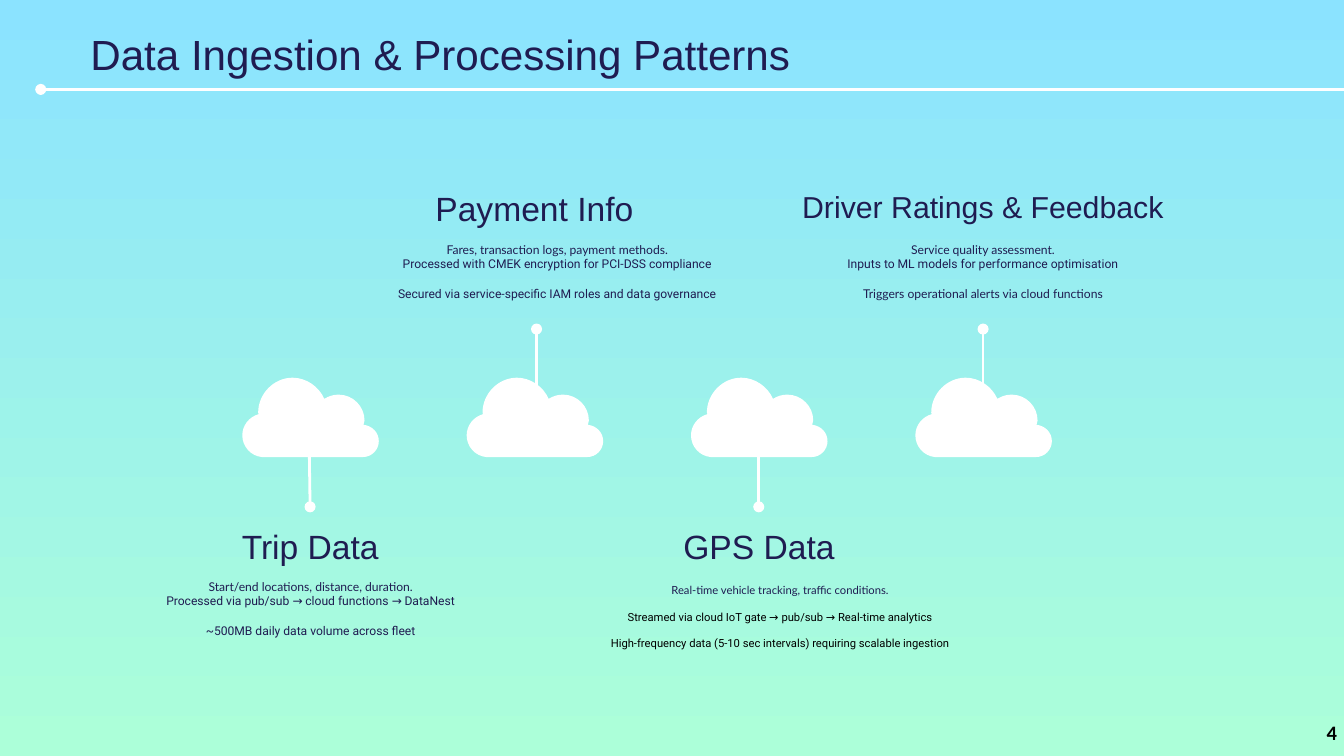
from dataclasses import dataclass

from lxml.etree import SubElement
from pptx import Presentation
from pptx.dml.color import RGBColor
from pptx.enum.shapes import MSO_CONNECTOR
from pptx.enum.text import MSO_ANCHOR, PP_ALIGN
from pptx.oxml.ns import qn
from pptx.util import Cm, Pt


@dataclass(frozen=True)
class Theme:
    sky: RGBColor = RGBColor(0x8B, 0xE3, 0xFF)
    mint: RGBColor = RGBColor(0xAC, 0xFF, 0xD9)
    navy: RGBColor = RGBColor(0x1F, 0x1C, 0x51)
    white: RGBColor = RGBColor(0xFF, 0xFF, 0xFF)
    black: RGBColor = RGBColor(0, 0, 0)
    title_size: float = 22.6
    heading_size: float = 18
    long_heading_size: float = 16.2
    body_size: float = 6.5
    small_size: float = 6
    number_size: float = 11
    line_width: float = 1.5


THEME = Theme()
CLOUD_LEFT, CLOUD_TOP, CLOUD_PITCH = 4.58, 7.14, 4.24
CLOUD_START = (0.95, 0)
# Each segment ends at its last point, in cm from the cloud's corner;
# a curve has two control points before it, a straight edge has none.
CLOUD_SEGMENTS = [
    ((0.60, 0), (0.30, 0.30), (0.30, 0.66)),
    ((0.30, 0.67), (0.30, 0.68), (0.31, 0.69)),
    ((0.13, 0.74), (0, 0.90), (0, 1.09)),
    ((0, 1.30), (0.16, 1.48), (0.37, 1.50)),
    ((2.28, 1.50),),
    ((2.45, 1.50), (2.58, 1.36), (2.58, 1.20)),
    ((2.58, 1.04), (2.46, 0.91), (2.29, 0.89)),
    ((2.30, 0.86), (2.31, 0.84), (2.31, 0.81)),
    ((2.31, 0.54), (2.09, 0.32), (1.82, 0.32)),
    ((1.72, 0.32), (1.63, 0.35), (1.55, 0.40)),
    ((1.45, 0.17), (1.21, 0), CLOUD_START),
]

# Each topic: heading, its size and box, body box, body size,
# then lines of (text, font, colour, space before in lines), and its pin.
TOPICS = [
    ("Trip Data", THEME.heading_size, (3.82, 9.69, 4.09, 1.5),
     (2.56, 10.7, 6.63, 1.8), THEME.body_size,
     [("Start/end locations, distance, duration.", "Lato", THEME.navy, 0),
      ("Processed via pub/sub → cloud functions → DataNest", "Roboto", THEME.navy, 0),
      ("~500MB daily data volume across fleet", "Roboto", THEME.navy, 1)],
     ((5.86, 9.58), (5.84, 8.18))),
    ("Payment Info", THEME.heading_size, (7.6, 3.3, 5, 1.5),
     (7.22, 4.33, 6.63, 2.16), THEME.body_size,
     [("Fares, transaction logs, payment methods.", "Lato", THEME.navy, 0),
      ("Processed with CMEK encryption for PCI-DSS compliance", "Roboto", THEME.navy, 0),
      ("Secured via service-specific IAM roles and data governance", "Roboto",
       THEME.navy, 1)],
     ((10.14, 6.22), (10.14, 7.72))),
    ("GPS Data", THEME.heading_size, (12.3, 9.69, 4.09, 1.5),
     (11.22, 10.77, 7.04, 1.8), THEME.small_size,
     [("Real-time vehicle tracking, traffic conditions.", "Lato", THEME.navy, 0),
      ("Streamed via cloud IoT gate → pub/sub → Real-time analytics", "Roboto",
       THEME.black, 1),
      ("High-frequency data (5-10 sec intervals) requiring scalable ingestion",
       "Roboto", THEME.black, 1)],
     ((14.34, 9.58), (14.34, 8.2))),
    ("Driver Ratings & Feedback", THEME.long_heading_size, (14.89, 3.3, 7.37, 1.5),
     (15.67, 4.33, 5.82, 1.8), THEME.body_size,
     [("Service quality assessment.", "Lato", THEME.navy, 0),
      ("Inputs to ML models for performance optimisation", "Roboto", THEME.navy, 0),
      ("Triggers operational alerts via cloud functions", "Lato", THEME.navy, 1)],
     ((18.58, 6.22), (18.58, 7.72))),
]


def set_all(target, values):
    for name, value in values.items():
        setattr(target, name, value)


def paint_background(page):
    fill = page.background.fill
    fill.gradient()
    fill.gradient_angle = 270
    for stop, colour in zip(fill.gradient_stops, (THEME.sky, THEME.mint)):
        stop.color.rgb = colour


def add_text(page, place, lines, size, align=PP_ALIGN.CENTER, bold=False,
             inset=0.25, **frame_format):
    """Add a box with one paragraph for each (text, font, colour, gap in lines)."""
    box = page.shapes.add_textbox(*map(Cm, place))
    frame = box.text_frame
    margins = dict.fromkeys(
        ("margin_left", "margin_top", "margin_right", "margin_bottom"), Cm(inset))
    set_all(frame, {"word_wrap": True, **margins, **frame_format})
    for index, (text, font, colour, gap) in enumerate(lines):
        para = frame.paragraphs[0] if index == 0 else frame.add_paragraph()
        para.alignment = align
        if gap:
            para.space_before = Pt(gap * size * 1.2)
        span = para.add_run()
        span.text = text
        set_all(span.font, {"name": font, "size": Pt(size), "bold": bold})
        span.font.color.rgb = colour


def add_heading(page, place, text, size, align=PP_ALIGN.CENTER):
    add_text(page, place, [(text, "Arial", THEME.navy, 0)], size, align)


def add_pin(page, start, end):
    """Add a white line with a round dot at its start."""
    pin = page.shapes.add_connector(MSO_CONNECTOR.STRAIGHT, *map(Cm, (*start, *end)))
    pin.line.color.rgb = THEME.white
    pin.line.width = Pt(THEME.line_width)
    SubElement(pin.line._get_or_add_ln(), qn("a:headEnd"), type="oval")
    SubElement(pin._element.spPr, qn("a:effectLst"))


def bend_edges(shape, segments):
    """Turn the straight edges that have control points into Bézier curves."""
    edges = list(shape._element.iter(qn("a:lnTo")))
    for edge, points in zip(edges, segments):
        if len(points) == 3:
            curve = edge.makeelement(qn("a:cubicBezTo"))
            for x, y in points:
                SubElement(curve, qn("a:pt"), x=str(Cm(x)), y=str(Cm(y)))
            edge.getparent().replace(edge, curve)


def add_cloud(page, left, top):
    builder = page.shapes.build_freeform(*map(Cm, CLOUD_START))
    corners = [tuple(map(Cm, points[-1])) for points in CLOUD_SEGMENTS]
    builder.add_line_segments(corners, close=True)
    cloud = builder.convert_to_shape(Cm(left), Cm(top))
    bend_edges(cloud, CLOUD_SEGMENTS)
    cloud.shadow.inherit = False
    cloud.fill.solid()
    cloud.fill.fore_color.rgb = THEME.white
    cloud.line.fill.background()


def main():
    deck = Presentation()
    set_all(deck, {"slide_width": Cm(25.4), "slide_height": Cm(14.29)})
    page = deck.slides.add_slide(deck.slide_layouts[6])
    paint_background(page)
    add_pin(page, (0.77, 1.69), (25.65, 1.69))
    add_heading(page, (1.46, 0.28, 16.89, 1.5), "Data Ingestion & Processing Patterns",
                THEME.title_size, PP_ALIGN.LEFT)
    for index, topic in enumerate(TOPICS):
        heading, size, heading_place, body_place, body_size, lines, pin = topic
        add_cloud(page, CLOUD_LEFT + index * CLOUD_PITCH, CLOUD_TOP)
        add_text(page, body_place, lines, body_size)
        add_heading(page, heading_place, heading, size)
        add_pin(page, *pin)
    add_text(page, (24.89, 13.5, 0.51, 0.69), [("4", "Calibri", THEME.black, 0)],
             THEME.number_size, PP_ALIGN.RIGHT, bold=True, inset=0.13,
             word_wrap=False, vertical_anchor=MSO_ANCHOR.MIDDLE)
    deck.save("out.pptx")


if __name__ == "__main__":
    main()
